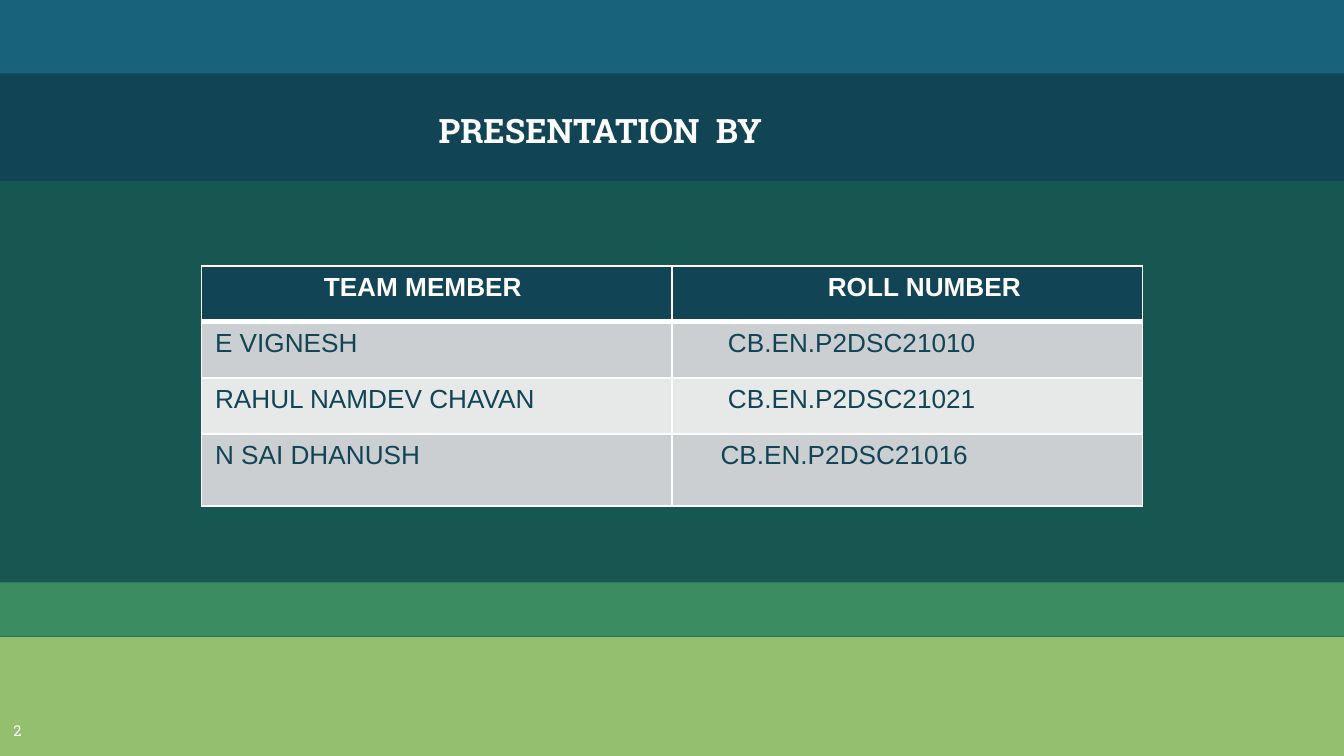
"""Build the team slide: coloured bands, a title and a table of members."""
from lxml import etree
from pptx import Presentation
from pptx.dml.color import RGBColor
from pptx.enum.shapes import MSO_SHAPE
from pptx.enum.text import MSO_ANCHOR, MSO_AUTO_SIZE, PP_ALIGN
from pptx.oxml.ns import qn
from pptx.util import Pt

RECT = MSO_SHAPE.RECTANGLE
TOP, MIDDLE = MSO_ANCHOR.TOP, MSO_ANCHOR.MIDDLE
LEFT, CENTER = PP_ALIGN.LEFT, PP_ALIGN.CENTER
NO_FIT = MSO_AUTO_SIZE.NONE

WHITE = RGBColor(0xFF, 0xFF, 0xFF)
NAVY = RGBColor(0x11, 0x44, 0x54)
BLUE = RGBColor(0x18, 0x63, 0x7B)
TEAL = RGBColor(0x16, 0x57, 0x51)
GREEN = RGBColor(0x3B, 0x8D, 0x61)
LIME = RGBColor(0x94, 0xBF, 0x6E)
GREY = RGBColor(0xCC, 0xCF, 0xD1)
PALE = RGBColor(0xE7, 0xE9, 0xE9)
SLAB, SANS = "Roboto Slab", "Arial"

WIDTH, HEIGHT = 720, 405
TITLE = "PRESENTATION  BY"
PAGE = "2"
BANDS = [(0, 42, BLUE), (39.3, 57.7, NAVY), (312, 29, GREEN), (341.2, 63.8, LIME)]
ROWS = [
    (("TEAM MEMBER", 65.5), ("ROLL NUMBER", 83.5)),
    (("E VIGNESH", 7.2), ("CB.EN.P2DSC21010", 30)),
    (("RAHUL NAMDEV CHAVAN", 7.2), ("CB.EN.P2DSC21021", 30)),
    (("N SAI DHANUSH", 7.2), ("CB.EN.P2DSC21016", 26)),
]
ROW_HEIGHTS = [30, 30, 30, 38.6]
TABLE_LEFT, TABLE_TOP, COL_WIDTH = 108, 142.5, 252


def add_text(tf, text, font, size, color, bold=False, align=LEFT):
    p = tf.paragraphs[0]
    p.alignment = align
    r = p.add_run()
    r.text = text
    r.font.name, r.font.size, r.font.bold = font, Pt(size), bold
    r.font.color.rgb = color


def set_frame(tf, anchor, left=7.2):
    tf.word_wrap = True
    tf.auto_size = NO_FIT
    tf.vertical_anchor = anchor
    tf.margin_left = Pt(left)
    tf.margin_top = tf.margin_right = tf.margin_bottom = Pt(7.2)


def set_borders(cell, top, bottom):
    tc_pr = cell._tc.get_or_add_tcPr()
    widths = (("a:lnL", 1), ("a:lnR", 1), ("a:lnT", top), ("a:lnB", bottom))
    for i, (tag, width) in enumerate(widths):
        ln = etree.Element(qn(tag), w=str(Pt(width)))
        fill = etree.SubElement(ln, qn("a:solidFill"))
        etree.SubElement(fill, qn("a:srgbClr"), val=str(WHITE))
        tc_pr.insert(i, ln)


def add_bands(s):
    for top, height, color in BANDS:
        band = s.shapes.add_shape(RECT, 0, Pt(top), Pt(WIDTH), Pt(height))
        band.shadow.inherit = False
        band.fill.solid()
        band.fill.fore_color.rgb = color
        band.line.fill.background()


def add_title(s):
    title = s.shapes.title
    title.left, title.top, title.width, title.height = Pt(52), Pt(39.6), Pt(519), Pt(60)
    title.element.getparent().append(title.element)
    set_frame(title.text_frame, MIDDLE, 183)
    add_text(title.text_frame, TITLE, SLAB, 18, WHITE, True)


def add_page_number(s):
    box = s.shapes.add_textbox(Pt(-4.3), Pt(379.5), Pt(27.4), Pt(25.2))
    set_frame(box.text_frame, TOP)
    add_text(box.text_frame, PAGE, SLAB, 8, WHITE, align=CENTER)


def add_members(s):
    table = s.shapes.add_table(
        len(ROWS), 2, Pt(TABLE_LEFT), Pt(TABLE_TOP), Pt(2 * COL_WIDTH), Pt(sum(ROW_HEIGHTS))
    ).table
    for col in table.columns:
        col.width = Pt(COL_WIDTH)
    for i, (row, height) in enumerate(zip(ROWS, ROW_HEIGHTS)):
        table.rows[i].height = Pt(height)
        header = i == 0
        fill = NAVY if header else (PALE, GREY)[i % 2]
        for j, (text, indent) in enumerate(row):
            cell = table.cell(i, j)
            cell.margin_left = Pt(indent)
            cell.fill.solid()
            cell.fill.fore_color.rgb = fill
            set_borders(cell, 3 if i == 1 else 1, 3 if header else 1)
            add_text(cell.text_frame, text, SANS, 14, WHITE if header else NAVY, header)


def main():
    prs = Presentation()
    prs.slide_width, prs.slide_height = Pt(WIDTH), Pt(HEIGHT)
    s = prs.slides.add_slide(prs.slide_layouts[0])
    s.background.fill.solid()
    s.background.fill.fore_color.rgb = TEAL
    subtitle = s.placeholders[1].element
    subtitle.getparent().remove(subtitle)
    add_bands(s)
    add_title(s)
    add_page_number(s)
    add_members(s)
    prs.save("out.pptx")


if __name__ == "__main__":
    main()
